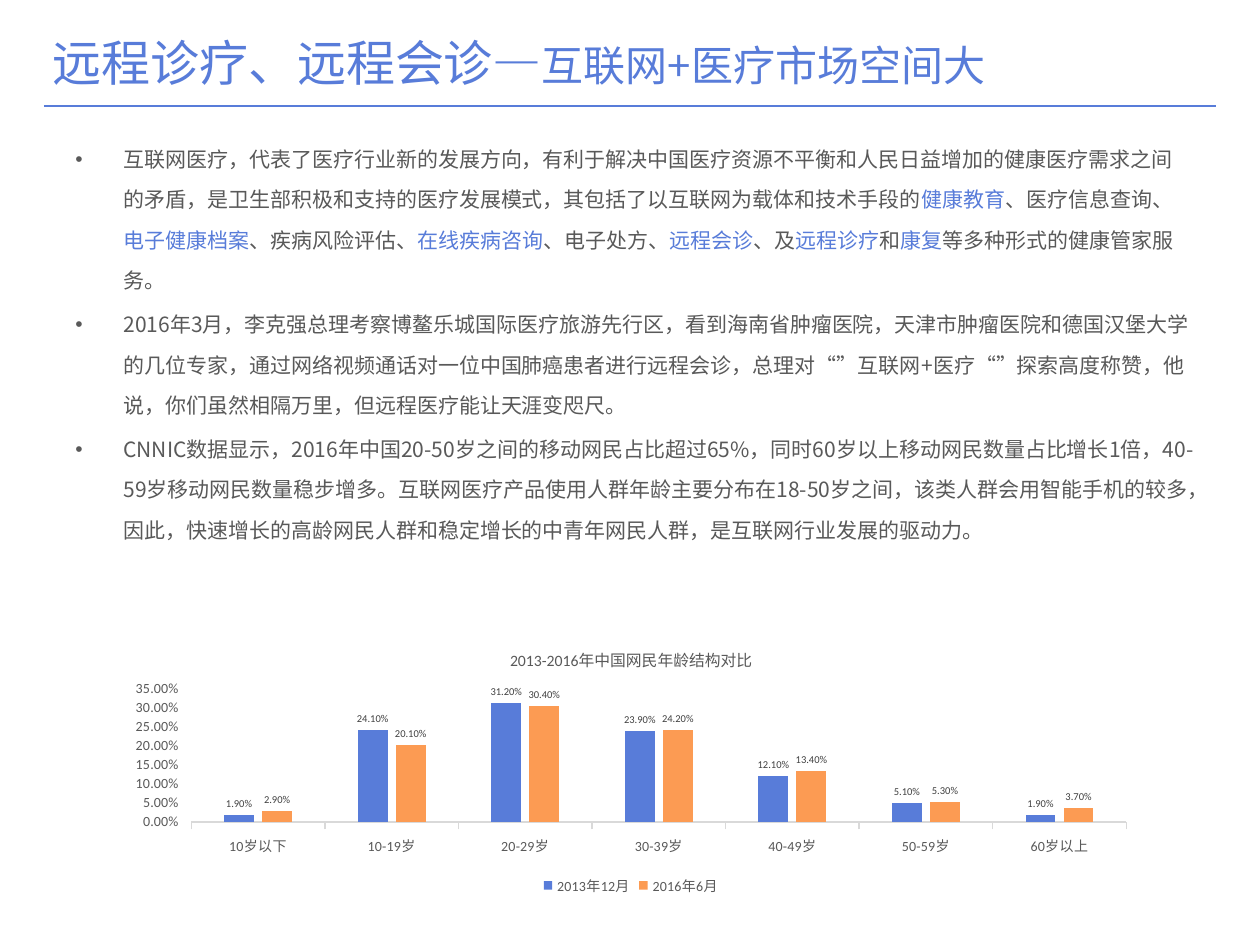
import pptx
import pptx.chart.data
import pptx.dml.color
import pptx.enum.chart
import pptx.enum.shapes
import pptx.enum.text
import pptx.oxml
import pptx.oxml.ns
import pptx.util

RGBColor = pptx.dml.color.RGBColor
BLUE = RGBColor(0x58, 0x7C, 0xD9)
ORANGE = RGBColor(0xFC, 0x9B, 0x53)
DARK_GREY = RGBColor(0x59, 0x59, 0x59)
LABEL_GREY = RGBColor(0x40, 0x40, 0x40)
AXIS_GREY = RGBColor(0xD9, 0xD9, 0xD9)
WHITE = RGBColor(0xFF, 0xFF, 0xFF)
CJK_FONT = "Noto Sans CJK SC"
CHART_FONT = "Calibri"

TITLE = [("远程诊疗、远程会诊—", 28), ("互联网+医疗市场空间大", 24)]
# Each paragraph is a list of runs; every second run is highlighted.
BULLETS = [
    [
        "互联网医疗，代表了医疗行业新的发展方向，有利于解决中国医疗资源不平衡和人民日益增加的"
        "健康医疗需求之间的矛盾，是卫生部积极和支持的医疗发展模式，其包括了以互联网为载体和技术手段的",
        "健康教育", "、医疗信息查询、", "电子健康档案", "、疾病风险评估、", "在线疾病咨询",
        "、电子处方、", "远程会诊", "、及", "远程诊疗", "和", "康复", "等多种形式的健康管家服务。",
    ],
    [
        "2016年3月，李克强总理考察博鳌乐城国际医疗旅游先行区，看到海南省肿瘤医院，天津市肿瘤医院"
        "和德国汉堡大学的几位专家，通过网络视频通话对一位中国肺癌患者进行远程会诊，总理对“”互联网+医疗“”"
        "探索高度称赞，他说，你们虽然相隔万里，但远程医疗能让天涯变咫尺。",
    ],
    [
        "CNNIC数据显示，2016年中国20-50岁之间的移动网民占比超过65%，同时60岁以上移动网民数量占比"
        "增长1倍，40-59岁移动网民数量稳步增多。互联网医疗产品使用人群年龄主要分布在18-50岁之间，"
        "该类人群会用智能手机的较多，因此，快速增长的高龄网民人群和稳定增长的中青年网民人群，"
        "是互联网行业发展的驱动力。",
    ],
]
CHART_TITLE = "2013-2016年中国网民年龄结构对比"
AGE_GROUPS = ["10岁以下", "10-19岁", "20-29岁", "30-39岁", "40-49岁", "50-59岁", "60岁以上"]
SERIES = [
    ("2013年12月", BLUE, [0.019, 0.241, 0.312, 0.239, 0.121, 0.051, 0.019]),
    ("2016年6月", ORANGE, [0.029, 0.201, 0.304, 0.242, 0.134, 0.053, 0.037]),
]
RULE_Y = 106
RULES = [(69, 1191, WHITE, 2.25), (44, 1216, BLUE, 0.75)]  # left, right, colour, width


def px(*lengths):
    """Turn pixels (126 to the inch) into a list of EMU."""
    return [round(length * 914400 / 126) for length in lengths]


def format_font(font, size, color, name=CHART_FONT):
    font.size = pptx.util.Pt(size)
    font.bold = False
    font.color.rgb = color
    font.name = name


def add_run(paragraph, text, size=12, color=DARK_GREY, name=CJK_FONT):
    run = paragraph.add_run()
    run.text = text
    format_font(run.font, size, color, name)
    if name == CJK_FONT:
        east_asian = pptx.oxml.parse_xml(
            f'<a:ea {pptx.oxml.ns.nsdecls("a")} typeface="{name}"/>')
        run.font._element.find(pptx.oxml.ns.qn("a:latin")).addnext(east_asian)


def add_rule(slide, left, right, color, width):
    line = slide.shapes.add_connector(
        pptx.enum.shapes.MSO_CONNECTOR.STRAIGHT, *px(left, RULE_Y, right, RULE_Y))
    line.line.color.rgb = color
    line.line.width = pptx.util.Pt(width)
    line._element.spPr.append(
        pptx.oxml.parse_xml(f'<a:effectLst {pptx.oxml.ns.nsdecls("a")}/>'))


def set_title(slide):
    title = slide.shapes.title
    title.left, title.top, title.width, title.height = px(40, 26, 1166, 72)
    frame = title.text_frame
    frame.margin_top = frame.margin_bottom = 0
    frame.vertical_anchor = pptx.enum.text.MSO_ANCHOR.MIDDLE
    frame.auto_size = pptx.enum.text.MSO_AUTO_SIZE.NONE
    paragraph = frame.paragraphs[0]
    paragraph.alignment = pptx.enum.text.PP_ALIGN.LEFT
    for text, size in TITLE:
        add_run(paragraph, text, size=size, color=BLUE)


def add_bullets(slide):
    frame = slide.shapes.add_textbox(*px(63, 125, 1143, 268)).text_frame
    frame.word_wrap = True
    indent = px(48)[0]
    for number, runs in enumerate(BULLETS):
        paragraph = frame.add_paragraph() if number else frame.paragraphs[0]
        paragraph.line_spacing = pptx.util.Pt(23.1)
        paragraph.space_before = pptx.util.Pt(2)
        properties = paragraph._p.get_or_add_pPr()
        properties.set("marL", str(indent))
        properties.set("indent", str(-indent))
        for tag in ('buFont typeface="Arial"', 'buChar char="•"'):
            properties.append(
                pptx.oxml.parse_xml(f'<a:{tag} {pptx.oxml.ns.nsdecls("a")}/>'))
        for position, text in enumerate(runs):
            add_run(paragraph, text, color=BLUE if position % 2 else DARK_GREY)


def add_age_chart(slide):
    data = pptx.chart.data.CategoryChartData(number_format="0.00%")
    data.categories = AGE_GROUPS
    for name, _, values in SERIES:
        data.add_series(name, values)
    kinds = pptx.enum.chart
    chart = slide.shapes.add_chart(
        kinds.XL_CHART_TYPE.COLUMN_CLUSTERED, *px(115, 631, 1032, 270), data).chart
    format_font(chart.font, 10, DARK_GREY)

    chart.has_title = True
    add_run(chart.chart_title.text_frame.paragraphs[0], CHART_TITLE, size=9, name=CHART_FONT)
    chart.chart_title.include_in_layout = False
    chart.has_legend = True
    chart.legend.position = kinds.XL_LEGEND_POSITION.BOTTOM
    chart.legend.include_in_layout = False
    format_font(chart.legend.font, 8, DARK_GREY)

    for axis in (chart.category_axis, chart.value_axis):
        axis.has_major_gridlines = False
        axis.major_tick_mark = kinds.XL_TICK_MARK.OUTSIDE
        format_font(axis.tick_labels.font, 8, DARK_GREY)
    chart.category_axis.format.line.color.rgb = AXIS_GREY
    chart.category_axis.format.line.width = pptx.util.Pt(0.75)
    chart.value_axis.format.line.fill.background()
    chart.value_axis.tick_labels.number_format = "0.00%"
    chart.value_axis.tick_labels.number_format_is_linked = False

    plot = chart.plots[0]
    plot.gap_width, plot.overlap, plot.vary_by_categories = 219, -27, False
    for series, (_, color, _) in zip(plot.series, SERIES):
        series.format.fill.solid()
        series.format.fill.fore_color.rgb = color
        labels = series.data_labels
        labels.show_value = True
        labels.position = kinds.XL_LABEL_POSITION.OUTSIDE_END
        labels.number_format = "0.00%"
        labels.number_format_is_linked = False
        format_font(labels.font, 6, LABEL_GREY)


def main():
    presentation = pptx.Presentation()
    presentation.slide_width, presentation.slide_height = px(1260, 945)
    slide = presentation.slides.add_slide(presentation.slide_layouts[5])
    for rule in RULES:
        add_rule(slide, *rule)
    set_title(slide)
    add_bullets(slide)
    add_age_chart(slide)
    presentation.save("out.pptx")


if __name__ == "__main__":
    main()
